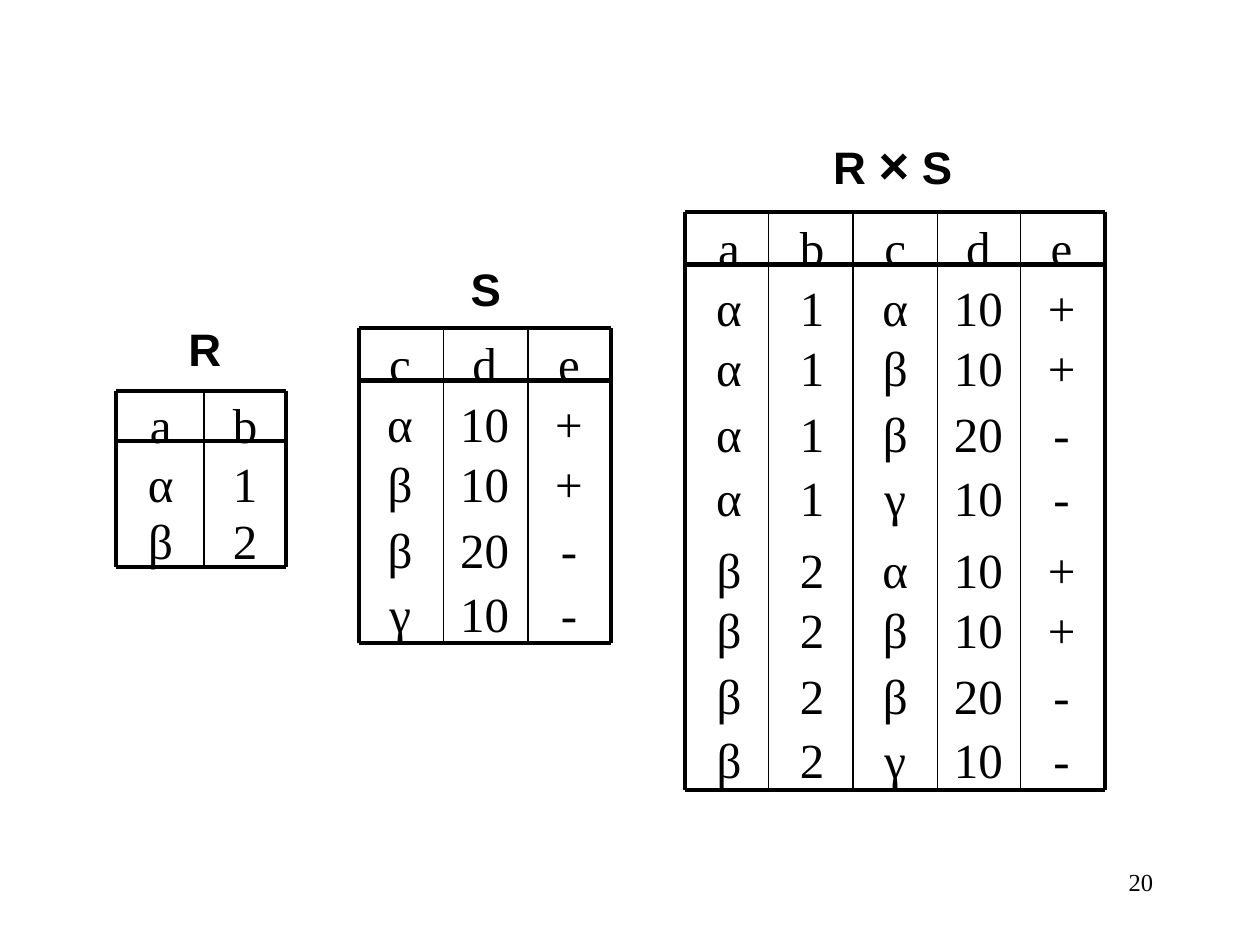
from lxml import etree
from pptx import Presentation
from pptx.dml.color import RGBColor
from pptx.enum.shapes import MSO_CONNECTOR
from pptx.enum.text import PP_ALIGN
from pptx.oxml.ns import qn
from pptx.util import Inches, Pt

CENTER, RIGHT = PP_ALIGN.CENTER, PP_ALIGN.RIGHT
STRAIGHT = MSO_CONNECTOR.STRAIGHT
COLORS = {"ink": "000000"}
SERIF, SANS = "Times New Roman", "Arial"
FRAME, RULE, THIN = 2.25, 2.5, 1
CELL = 0.69             # width of a cell's box, inches

# Relations: first row holds the attribute names
R = ["ab", ["α", "1"], ["β", "2"]]
S = ["cde", ["α", "10", "+"], ["β", "10", "+"],
     ["β", "20", "-"], ["γ", "10", "-"]]
CROSS = [R[0] + S[0]] + [left + right for left in R[1:] for right in S[1:]]

# Rows as (offset from the relation's top, height), inches
HEAD = [(0, 0.43)]
BODY = [(0.47, 0.48), (0.95, 0.52), (1.47, 0.52), (1.98, 0.52)]
R_ROWS = HEAD + [(0.47, 0.48), (0.92, 0.52)]
S_ROWS = HEAD + BODY
CROSS_ROWS = S_ROWS + [(step + 2.08, height) for step, height in BODY]


def add_label(slide, box, parts, face=SANS, align=CENTER):
    """Add a text box; parts are (text, size, bold)."""
    frame = slide.shapes.add_textbox(*map(Inches, box)).text_frame
    frame.word_wrap = True
    para = frame.paragraphs[0]
    para.alignment = align
    for text, size, bold in parts:
        run = para.add_run()
        run.text = text
        font = run.font
        font.size, font.name, font.bold = Pt(size), face, bold
        font.color.rgb = RGBColor.from_string(COLORS["ink"])


def add_line(slide, start, end, width):
    line = slide.shapes.add_connector(
        STRAIGHT, *map(Inches, (*start, *end)))
    line.line.width = Pt(width)
    line.line.color.rgb = RGBColor.from_string(COLORS["ink"])
    etree.SubElement(line._element.spPr, qn("a:effectLst"))


def add_cells(slide, left, top, pitch, data, rows):
    for values, (step, height) in zip(data, rows):
        for c, text in enumerate(values):
            box = (left + c * pitch, top + step, CELL, height)
            add_label(slide, box, [(text, 28, False)], SERIF)


def add_grid(slide, edges, top, rule, bottom):
    """Draw the frame, the rule under the head and the column lines."""
    left, right = edges[0], edges[-1]
    for y, width in ((top, FRAME), (rule, RULE), (bottom, FRAME)):
        add_line(slide, (left, y), (right, y), width)
    for x in edges:
        width = FRAME if x in (left, right) else THIN
        add_line(slide, (x, top), (x, bottom), width)


def main():
    deck = Presentation()
    deck.slide_width, deck.slide_height = Inches(10), Inches(7.5)
    slide = deck.slides.add_slide(deck.slide_layouts[6])

    # Operand R
    add_label(slide, (1, 2.5, 1.25, 0.53), [("R", 26, True)])
    add_cells(slide, 0.93, 3.08, 0.67, R, R_ROWS)
    add_grid(slide, [0.92, 1.62, 2.27], 3.1, 3.5, 4.5)

    # Operand S
    add_label(slide, (3.52, 2.02, 0.67, 0.53), [("S", 26, True)])
    add_cells(slide, 2.83, 2.6, 0.67, S, S_ROWS)
    add_grid(slide, [2.85, 3.52, 4.19, 4.85], 2.6, 3.02, 5.1)

    # Product
    add_label(slide, (5.5, 1, 3.17, 0.6),
              [("R ", 26, True), ("×", 30, True),
               (" ", 26, False), ("S", 26, True)])
    add_cells(slide, 5.44, 1.68, 0.66, CROSS, CROSS_ROWS)
    add_grid(slide, [5.44, 6.1, 6.77, 7.44, 8.1, 8.77], 1.68, 2.1, 6.27)

    # Page number
    add_label(slide, (7.17, 6.83, 2.08, 0.5), [("20", 14, False)],
              SERIF, RIGHT)
    deck.save("out.pptx")


if __name__ == "__main__":
    main()
